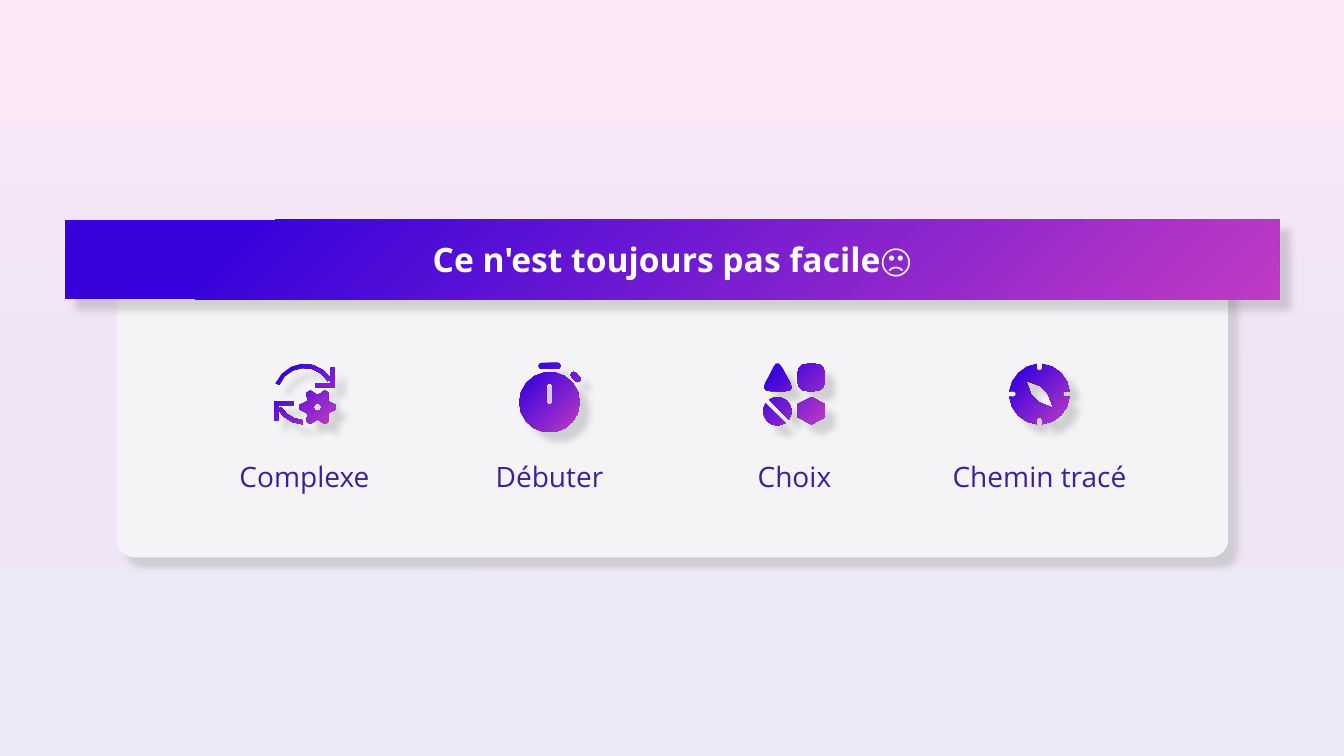
"""Build a slide with a title pill above a card of four labelled icons."""
from dataclasses import dataclass
from math import cos, hypot, radians, sin

from lxml import etree
from pptx import Presentation, util as u
from pptx.dml.color import RGBColor
from pptx.enum import shapes, text
from pptx.oxml import ns

Point = tuple[float, float]
Path = list[Point]
FONT = "Open Sans"
GLOW = [(0, "C03BC4"), (85, "3803DB")]
CORNER = ("path", {"path": "circle"}, ("fillToRect", {"l": "100000", "t": "100000"}))
DOWN = ("lin", {"ang": "5400000", "scaled": "0"}, None)
FIRST, STEP, MID = 3.02, 2.43, 3.91


@dataclass
class Item:
    label: str
    width: float
    icon: list[Path]


def hue(code: str) -> RGBColor:
    return RGBColor.from_string(code)


def node(parent, tag: str, **attrs: str):
    return etree.SubElement(parent, ns.qn(f"a:{tag}"), attrs)


def blend(parent, stops: list[tuple[int, str]], style: tuple) -> None:
    fill = node(parent, "gradFill", rotWithShape="1")
    row = node(fill, "gsLst")
    for spot, code in stops:
        node(node(row, "gs", pos=str(spot * 1000)), "srgbClr", val=code)
    tag, attrs, child = style
    shade = node(fill, tag, **attrs)
    if child:
        node(shade, child[0], **child[1])


def shadow(parent, code: str, alpha: int) -> None:
    cast = node(node(parent, "effectLst"), "outerShdw", blurRad=str(u.Pt(5)),
                dist=str(u.Pt(10)), dir="2700000", algn="tl", rotWithShape="0")
    node(node(cast, "srgbClr", val=code), "alpha", val=str(alpha * 1000))


def dress(props) -> None:
    blend(props, GLOW, CORNER)
    node(node(props, "ln"), "noFill")
    shadow(props, "454142", 20)


def arc(x: float, y: float, r: float, a: float = 0, b: float = 360) -> Path:
    n = max(2, round(abs(b - a) / (20 if r > 0.1 else 45)))
    turns = [radians(a + (b - a) * i / n) for i in range(n + 1)]
    return [(x + r * cos(t), y + r * sin(t)) for t in turns]


def pill(x: float, y: float, dx: float, dy: float, r: float, tilt: float) -> Path:
    return arc(x, y, r, tilt + 90, tilt + 270) + arc(x + dx, y + dy, r, tilt - 90, tilt + 90)


def soft(path: Path, cut: float) -> Path:
    out: Path = []
    for i, (x, y) in enumerate(path):
        ends = []
        for px, py in (path[i - 1], path[(i + 1) % len(path)]):
            part = cut / hypot(px - x, py - y)
            ends.append((x + (px - x) * part, y + (py - y) * part))
        (ax, ay), (bx, by) = ends
        for t in (k / 3 for k in range(4)):
            p, q, r = (1 - t) ** 2, 2 * t * (1 - t), t * t
            out.append((p * ax + q * x + r * bx, p * ay + q * y + r * by))
    return out


def band(y: float, a: float, b: float) -> Path:
    return arc(0, y, 0.31, a, b) + arc(0, y, 0.27, b, a)


def cycle() -> list[Path]:
    hook = [(0.26, -0.26), (0.3, -0.26), (0.3, -0.07),
            (0.11, -0.07), (0.11, -0.11), (0.26, -0.11)]
    back = [(-x, -y) for x, y in hook]
    teeth = [(-18, 0.14), (-7, 0.18), (7, 0.18), (18, 0.14), (30, 0.12)]
    gear = [(0.13 + r * cos(radians(60 * k + a)), 0.13 + r * sin(radians(60 * k + a)))
            for k in range(6) for a, r in teeth]
    return [band(0.01, 202, 329), hook, band(-0.01, 94, 149), back,
            gear, arc(0.13, 0.13, 0.04, 360, 0)]


def timer() -> list[Path]:
    return [arc(0, 0.08, 0.3), pill(0, -0.08, 0, 0.16, 0.03, 90)[::-1],
            pill(-0.08, -0.28, 0.16, 0, 0.03, 0), pill(0.24, -0.19, 0.04, 0.04, 0.03, 45)]


def forms() -> list[Path]:
    box = [(0.03, -0.3), (0.3, -0.3), (0.3, -0.03), (0.03, -0.03)]
    cone = [(-0.17, -0.35), (0, -0.03), (-0.33, -0.03)]
    hexa = [(0.17, 0.03), (0.3, 0.1), (0.3, 0.23),
            (0.17, 0.3), (0.03, 0.23), (0.03, 0.1)]
    disc = [arc(-0.17, 0.17, 0.14, a, b) for a, b in ((-125, 35), (57, 213))]
    return [soft(box, 0.1), soft(cone, 0.09), hexa, *disc]


def compass() -> list[Path]:
    rim: Path = []
    for d in range(90, 450, 90):
        rim += arc(0, 0, 0.3, d - 85, d - 5)
        rim += arc(0.26 * cos(radians(d)), 0.26 * sin(radians(d)), 0.03, d - 90, d - 270)
    pin = [(-0.13, -0.13), (0.01, -0.08), (0.08, -0.01),
           (0.14, 0.14), (-0.01, 0.08), (-0.08, 0.01)]
    return [rim, pin[::-1]]


def draw(slide, paths: list[Path], x: float, y: float) -> None:
    spots = [[(u.Inches(x + px), u.Inches(y + py)) for px, py in path] for path in paths]
    pen = slide.shapes.build_freeform(*spots[0][0], scale=1.0)
    for i, path in enumerate(spots):
        if i:
            pen.move_to(*path[0])
        pen.add_line_segments(path[1:], close=True)
    dress(pen.convert_to_shape().element.spPr)


def write(shape, words: str, *, size: int, color: str, bold: bool = False) -> None:
    frame = shape.text_frame
    frame.word_wrap = True
    para = frame.paragraphs[0]
    para.alignment = text.PP_ALIGN.CENTER
    run = para.add_run()
    run.text = words
    run.font.name, run.font.size, run.font.bold = FONT, u.Pt(size), bold
    run.font.color.rgb = hue(color)


def place(shape, *rect: float) -> None:
    shape.left, shape.top, shape.width, shape.height = map(u.Inches, rect)


def card(slide) -> None:
    base = slide.shapes.add_shape(shapes.MSO_SHAPE.ROUNDED_RECTANGLE,
                                  *map(u.Inches, (1.16, 2.6, 11.02, 2.93)))
    base.adjustments[0] = 0.06
    base.fill.solid()
    base.fill.fore_color.rgb = hue("F4F3F5")
    base.line.fill.background()
    shadow(base.element.spPr, "B1B3B3", 50)


def head(slide) -> None:
    title = slide.shapes.title
    place(title, 0.64, 2.18, 12.05, 0.79)
    props = title.element.spPr
    shape = node(props, "prstGeom", prst="roundRect")
    node(node(shape, "avLst"), "gd", name="adj", fmla="val 50000")
    dress(props)
    frame = title.text_frame
    frame.auto_size = text.MSO_AUTO_SIZE.NONE
    frame.vertical_anchor = text.MSO_ANCHOR.MIDDLE
    frame.margin_left = frame.margin_right = frame.margin_top = frame.margin_bottom = 0
    write(title, "Ce n'est toujours pas facile🙁", size=24, color="FFFFFF", bold=True)
    slide.shapes.element.append(title.element)


def main() -> None:
    deck = Presentation()
    deck.slide_width, deck.slide_height = u.Inches(13.33), u.Inches(7.5)
    slide = deck.slides.add_slide(deck.slide_layouts[5])
    slide.background.fill.solid()
    back = slide.element.cSld.bg.bgPr
    back.remove(back[0])
    blend(back, [(0, "FCE7F8"), (50, "F0E5F6"), (100, "EDEAF7")], DOWN)
    back.insert(0, back[-1])
    card(slide)
    items = [Item("Complexe", 2, cycle()), Item("Débuter", 2.41, timer()),
             Item("Choix", 2, forms()), Item("Chemin tracé", 2.2, compass())]
    for i, item in enumerate(items):
        x = FIRST + STEP * i
        note = slide.shapes.add_textbox(0, 0, 0, 0)
        place(note, x - item.width / 2, 4.51, item.width, 0.44)
        write(note, item.label, size=20, color="3A20A0")
        draw(slide, item.icon, x, MID)
    head(slide)
    deck.save("out.pptx")


if __name__ == "__main__":
    main()
